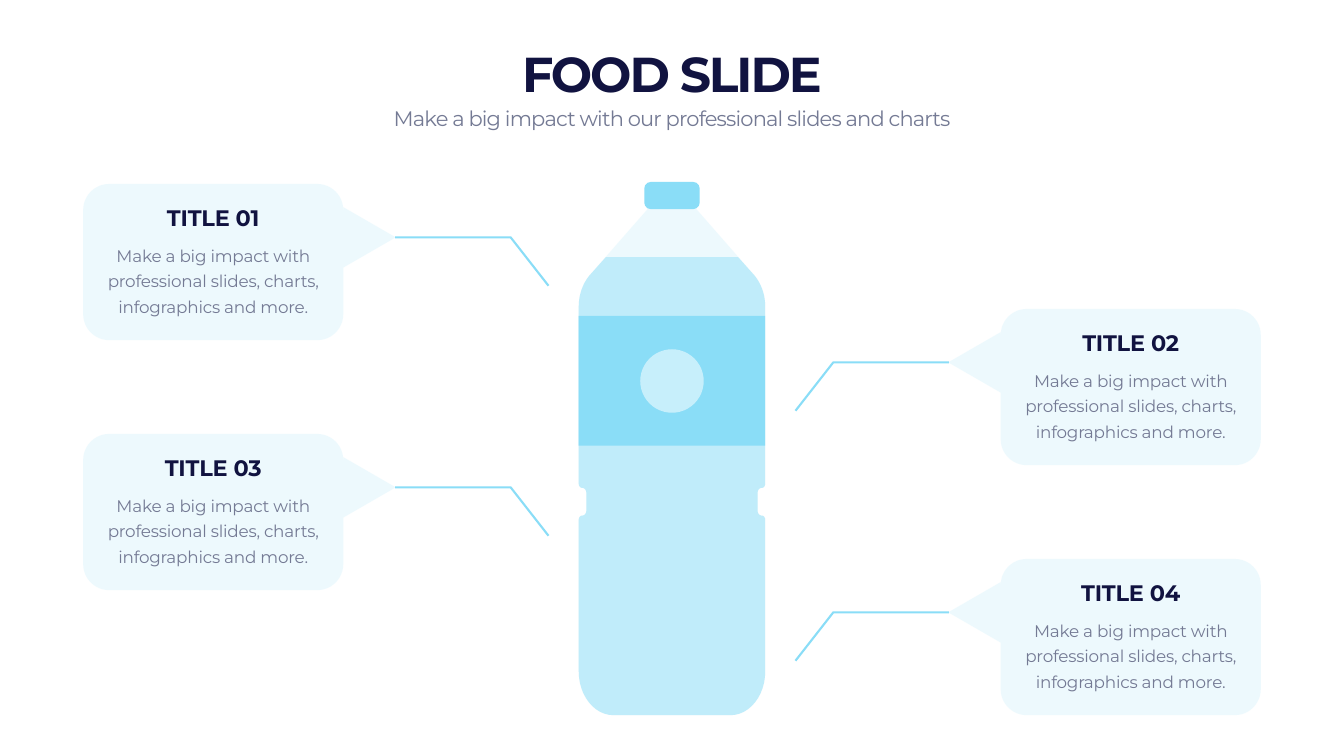
"""Build the food slide: a water bottle with four callouts."""
from dataclasses import dataclass

from lxml import etree
from pptx import Presentation
from pptx import util as u
from pptx.dml.color import RGBColor
from pptx.enum import shapes, text
from pptx.oxml.ns import qn


@dataclass(frozen=True)
class Theme:
    """Colours, font and type sizes."""
    water: str = "8ADDF7"
    white: str = "FFFFFF"
    navy: str = "111340"
    grey: str = "747A94"
    font: str = "Montserrat"
    heading: int = 70
    subheading: int = 30
    card_title: int = 32
    card_body: int = 24


THEME = Theme()
WIDTH, HEIGHT = 26.66, 15
CENTRE = WIDTH / 2
MARGIN = 1.65
CARD_W, CARD_H = 5.16, 3.1
FIRST_ROW, ROW_STEP = 3.65, 2.48
BLURB = "Make a big impact with professional slides, charts, infographics and more."
SHOULDER = [(1.64, 5.47)]
BODY_CURVES = [
    [(1.64, 5.47), (1.77, 5.63), (1.85, 5.85), (1.85, 6.09)],
    [(1.85, 9.59), (1.85, 9.64), (1.82, 9.68), (1.78, 9.68)],
    [(1.78, 9.68), (1.74, 9.68), (1.7, 9.72), (1.7, 9.77)],
    [(1.7, 10.14), (1.7, 10.19), (1.74, 10.23), (1.78, 10.23)],
    [(1.78, 10.23), (1.82, 10.23), (1.85, 10.27), (1.85, 10.32)],
    [(1.85, 13.32), (1.85, 13.8), (1.54, 14.19), (1.16, 14.19)],
]


def paint(shape, colour, opacity=100):
    """Give a shape a plain fill with no outline or shadow."""
    shape.shadow.inherit = False
    shape.line.fill.background()
    shape.fill.solid()
    shape.fill.fore_color.rgb = RGBColor.from_string(colour)
    if opacity < 100:
        tint = shape._element.spPr.find(qn("a:solidFill"))[0]
        etree.SubElement(tint, qn("a:alpha")).set("val", str(opacity * 1000))


def add_block(slide, kind, box, colour, opacity=100):
    """Add a filled preset shape."""
    block = slide.shapes.add_shape(kind, *map(u.Inches, box))
    paint(block, colour, opacity)
    return block


def add_outline(slide, points, close=True):
    """Add a freeform through points given in inches."""
    first, *rest = [(u.Inches(x), u.Inches(y)) for x, y in points]
    builder = slide.shapes.build_freeform(*first, scale=1.0)
    builder.add_line_segments(rest, close=close)
    return builder.convert_to_shape()


def write(holder, box, words, size, colour, bold=False, spacing=0.0,
          leading=None, anchor=text.MSO_ANCHOR.TOP):
    """Place a text holder and write one centred run in it."""
    holder.left, holder.top, holder.width, holder.height = map(u.Inches, box)
    frame = holder.text_frame
    frame.word_wrap = True
    frame.auto_size = text.MSO_AUTO_SIZE.NONE
    frame.vertical_anchor = anchor
    paragraph = frame.paragraphs[0]
    paragraph.alignment = text.PP_ALIGN.CENTER
    paragraph.space_before = u.Pt(0)
    if leading:
        paragraph.line_spacing = u.Pt(leading)
    run = paragraph.add_run()
    run.text = words
    run.font.name = THEME.font
    run.font.size = u.Pt(size)
    run.font.bold = bold
    run.font.color.rgb = RGBColor.from_string(colour)
    run._r.get_or_add_rPr().set("spc", str(round(spacing * 100)))


def add_heading(slide):
    """Fill the title and subtitle placeholders."""
    span = WIDTH - 2 * MARGIN
    write(slide.shapes.title, (MARGIN, 0.71, span, 1.38), "FOOD SLIDE",
          THEME.heading, THEME.navy, True, -2.9, 94, text.MSO_ANCHOR.BOTTOM)
    write(slide.placeholders[1], (MARGIN, 2.05, span, 0.61),
          "Make a big impact with our professional slides and charts",
          THEME.subheading, THEME.grey, spacing=-1.2)


def sample(curve, steps=12):
    """Return points along a cubic curve."""
    weights = [((1 - t) ** 3, 3 * t * (1 - t) ** 2, 3 * t * t * (1 - t), t ** 3)
               for t in (step / steps for step in range(steps + 1))]
    return [tuple(sum(w * point[axis] for w, point in zip(row, curve))
                  for axis in (0, 1)) for row in weights]


def add_shell(slide, top, colour, opacity=100):
    """Add the symmetric bottle outline below a top edge point."""
    half = [top] + [point for curve in BODY_CURVES for point in sample(curve)]
    right = [(CENTRE + x, y) for x, y in half]
    left = [(CENTRE - x, y) for x, y in reversed(half)]
    paint(add_outline(slide, right + left), colour, opacity)


def add_bottle(slide):
    """Draw the bottle with its cap, water and label."""
    kinds = shapes.MSO_SHAPE
    neck, waterline = (0.45, 4.11), (1.31, 5.1)
    add_shell(slide, neck, THEME.white)
    add_shell(slide, neck, THEME.water, 15)
    cap = add_block(slide, kinds.ROUNDED_RECTANGLE,
                    (CENTRE - 0.55, 3.61, 1.1, 0.54), THEME.water)
    cap.adjustments[0] = 0.24
    add_shell(slide, waterline, THEME.water, 45)
    add_block(slide, kinds.RECTANGLE, (CENTRE - 1.85, 6.27, 3.7, 2.57), THEME.water)
    add_block(slide, kinds.OVAL, (CENTRE - 0.63, 6.93, 1.26, 1.26), THEME.white, 53)


def add_callout(slide, row):
    """Add a card with its pointer and leader, alternating sides by row."""
    on_left = row % 2 == 0
    top = FIRST_ROW + row * ROW_STEP
    card_x = MARGIN if on_left else WIDTH - MARGIN - CARD_W

    def place(points):
        """Shift points to the row and mirror them for the right side."""
        return [(x if on_left else WIDTH - x, top + y) for x, y in points]

    leader = add_outline(slide, place([(7.84, 1.06), (10.13, 1.06), (10.88, 2.02)]),
                         close=False)
    leader.shadow.inherit = False
    leader.fill.background()
    leader.line.color.rgb = RGBColor.from_string(THEME.water)
    leader.line.width = u.Pt(3)
    add_block(slide, shapes.MSO_SHAPE.ROUNDED_RECTANGLE,
              (card_x, top, CARD_W, CARD_H), THEME.water, 15)
    edge = MARGIN + CARD_W
    pointer = add_outline(slide, place([(7.85, 1.06), (edge, 1.66), (edge, 0.46)]))
    paint(pointer, THEME.water, 15)

    inset = 0.26
    text_x, text_w = card_x + inset, CARD_W - 2 * inset
    write(slide.shapes.add_textbox(0, 0, 0, 0), (text_x, top + 0.34, text_w, 0.64),
          f"TITLE {row + 1:02}", THEME.card_title, THEME.navy, True, -0.3,
          anchor=text.MSO_ANCHOR.BOTTOM)
    write(slide.shapes.add_textbox(0, 0, 0, 0), (text_x, top + 1.08, text_w, 1.57),
          BLURB, THEME.card_body, THEME.grey, spacing=-0.3, leading=36)


def main():
    """Build and save the slide."""
    deck = Presentation()
    deck.slide_width, deck.slide_height = u.Inches(WIDTH), u.Inches(HEIGHT)
    slide = deck.slides.add_slide(deck.slide_layouts[0])
    add_heading(slide)
    add_bottle(slide)
    for row in range(4):
        add_callout(slide, row)
    deck.save("out.pptx")


if __name__ == "__main__":
    main()
